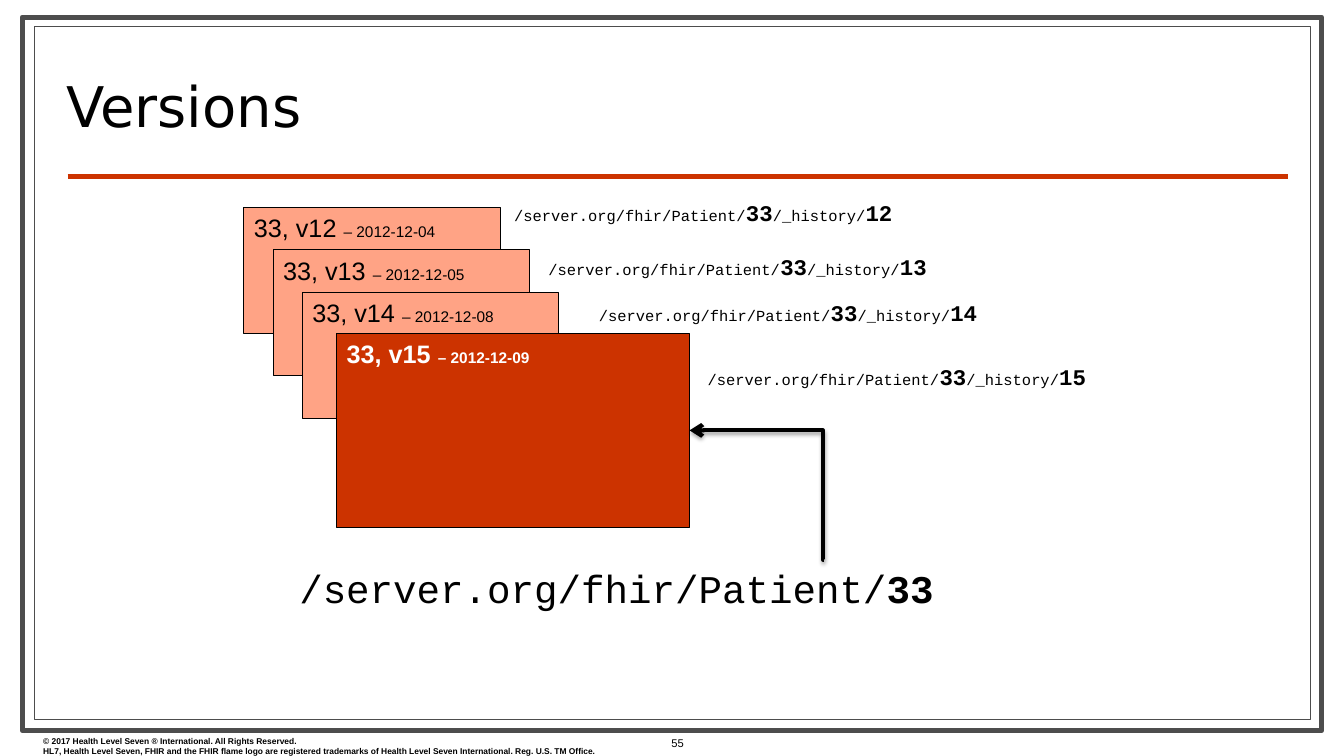
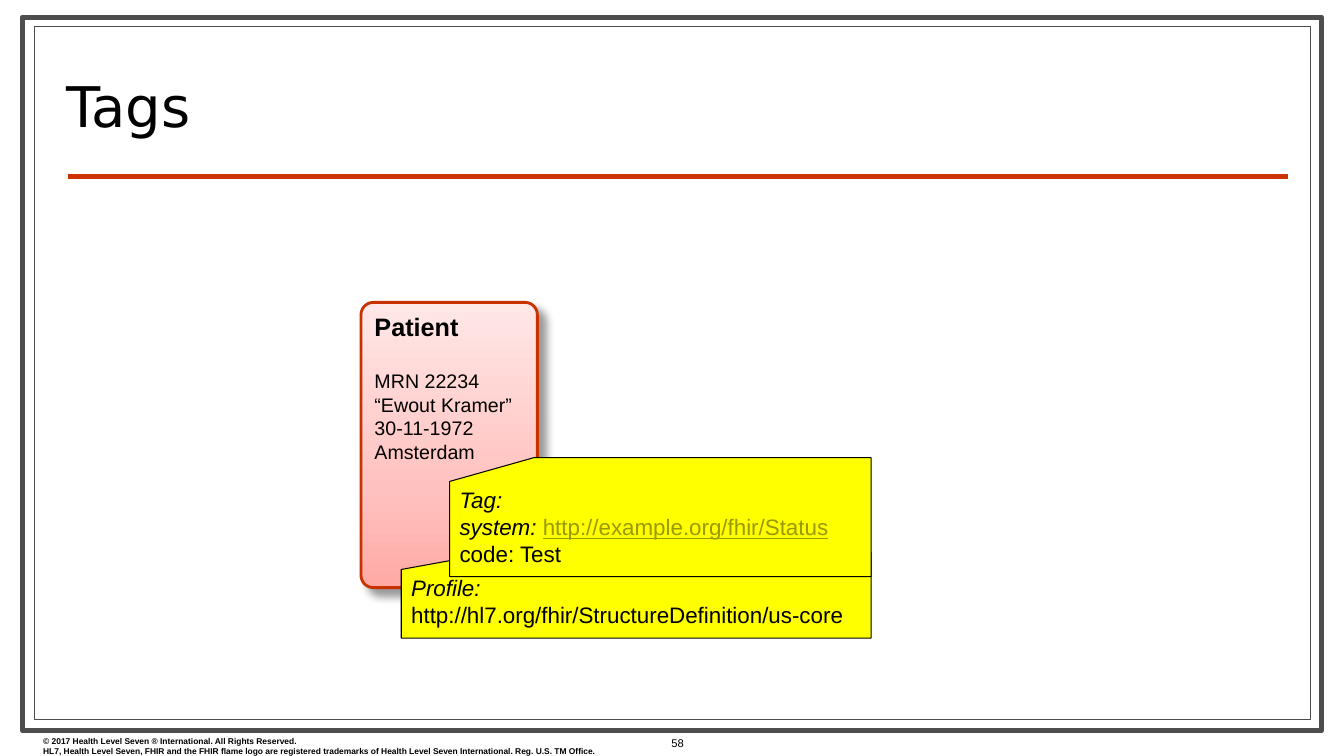
from copy import deepcopy

from lxml import etree
from pptx import Presentation
from pptx.dml.color import RGBColor
from pptx.enum.shapes import MSO_CONNECTOR, MSO_SHAPE
from pptx.enum.text import MSO_ANCHOR, MSO_AUTO_SIZE, PP_ALIGN
from pptx.oxml.ns import qn
from pptx.util import Emu, Pt

PX = 9144  # 100 px to the inch
SLIDE_SIZE = (1333, 750)
TITLE_ONLY = 5

BLACK = RGBColor(0x00, 0x00, 0x00)
WHITE = RGBColor(0xFF, 0xFF, 0xFF)
FRAME_GREY = RGBColor(0x4D, 0x4D, 0x4D)
RED = RGBColor(0xCC, 0x33, 0x00)
SALMON = RGBColor(0xFF, 0xA3, 0x85)
YELLOW = RGBColor(0xFF, 0xFF, 0x00)
LINK_OLIVE = RGBColor(0x99, 0x99, 0x00)
PATIENT_LINE = RGBColor(0xC8, 0x32, 0x00)
PATIENT_STOPS = [
    (0, RGBColor(0xFF, 0xE8, 0xE7)),
    (0.65, RGBColor(0xFF, 0xC2, 0xBF)),
    (1, RGBColor(0xFF, 0xA9, 0xA5)),
]

BODY_FONT, CODE_FONT, TITLE_FONT = "Arial", "Courier New", "DejaVu Sans"
RECT, ROUNDED = MSO_SHAPE.RECTANGLE, MSO_SHAPE.ROUNDED_RECTANGLE
CARD = MSO_SHAPE.FLOWCHART_CARD
STRAIGHT, ELBOW = MSO_CONNECTOR.STRAIGHT, MSO_CONNECTOR.ELBOW
TOP, MIDDLE, BOTTOM = MSO_ANCHOR.TOP, MSO_ANCHOR.MIDDLE, MSO_ANCHOR.BOTTOM
LEFT, CENTER = PP_ALIGN.LEFT, PP_ALIGN.CENTER

# Shared furniture: box and line width of each frame
FRAMES = [((22, 17, 1289, 708), 3.5), ((34, 26, 1266, 688), 0.75)]
TITLE_BOX = (56, 52, 1020, 90)
TITLE_RULE = ((67, 175), (1277, 175))
FOOTER_BOX = (33, 725, 644, 30)
NUMBER_BOX = (633, 725, 78, 25)
FOOTER = [
    "© 2017 Health Level Seven ® International. All Rights Reserved.",
    "HL7, Health Level Seven, FHIR and the FHIR flame logo are registered "
    "trademarks of Health Level Seven International. Reg. U.S. TM Office.",
]

# Versions slide
RESOURCE_URL, RESOURCE_ID = "/server.org/fhir/Patient/", "33"
RESOURCE_URL_BOX = (287, 555, 688, 57)
OLD_VERSIONS = [("12", "2012-12-04"), ("13", "2012-12-05"), ("14", "2012-12-08")]
CURRENT_VERSION = ("15", "2012-12-09")
FIRST_CARD, CARD_STEP = (242, 206, 254, 125), (29, 42)
CURRENT_CARD = (334, 331, 350, 192)
HISTORY_SIZE = (475, 37)
HISTORY_PLACES = {"12": (500, 193), "13": (534, 246), "14": (584, 292), "15": (692, 355)}
ARROW = ((817, 555), (684, 427))

# Tags slide
PATIENT_BOX = (358, 300, 175, 283)
PATIENT_DETAILS = ["MRN 22234", "“Ewout Kramer”", "30-11-1972", "Amsterdam"]
ITALIC = {"italic": True}
LABELS = [
    ((398, 548, 466, 85), [
        [("Profile:", ITALIC)],
        "http://hl7.org/fhir/StructureDefinition/us-core",
    ]),
    ((446, 454, 418, 118), [
        [("Tag:", ITALIC)],
        [("system: ", ITALIC),
         ("http://example.org/fhir/Status", {"color": LINK_OLIVE, "underline": True})],
        "code: Test",
    ]),
]


def px(*lengths):
    return [Emu(length * PX) for length in lengths]


def write(frame, paragraphs, *, size, font=BODY_FONT, color=BLACK, bold=False,
          align=LEFT, anchor=TOP, line_spacing=None):
    """Fill a text frame; a paragraph is a string or a list of (text, overrides)."""
    frame.word_wrap = True
    frame.auto_size = MSO_AUTO_SIZE.NONE
    frame.vertical_anchor = anchor
    for index, runs in enumerate(paragraphs):
        paragraph = frame.add_paragraph() if index else frame.paragraphs[0]
        paragraph.alignment = align
        paragraph.line_spacing = line_spacing
        for text, overrides in [(runs, {})] if isinstance(runs, str) else runs:
            run = paragraph.add_run()
            run.text = text
            look = {"size": size, "color": color, "bold": bold, **overrides}
            run.font.name = font
            run.font.size = Pt(look["size"])
            run.font.color.rgb = look["color"]
            run.font.bold = look["bold"]
            run.font.italic = look.get("italic", False)
            run.font.underline = look.get("underline", False)


def add_text(slide, box, paragraphs, **look):
    write(slide.shapes.add_textbox(*px(*box)).text_frame, paragraphs, **look)


def set_shadow(item, shadow=None):
    """Replace the theme shadow by none or by (alpha %, blur pt, distance pt, degrees)."""
    effects = etree.SubElement(item.element.spPr, qn("a:effectLst"))
    if shadow:
        alpha, blur, distance, degrees = shadow
        outer = etree.SubElement(
            effects, qn("a:outerShdw"), blurRad=str(Pt(blur)), dist=str(Pt(distance)),
            dir=str(degrees * 60000), algn="ctr", rotWithShape="0")
        black = etree.SubElement(outer, qn("a:srgbClr"), val=str(BLACK))
        etree.SubElement(black, qn("a:alpha"), val=str(alpha * 1000))


def add_box(slide, kind, box, *, fill=None, line=BLACK, width=0.75, shadow=None):
    """Add a preset shape; fill is None, a colour or a list of gradient stops."""
    shape = slide.shapes.add_shape(kind, *px(*box))
    if fill is None:
        shape.fill.background()
    elif isinstance(fill, list):
        shape.fill.gradient()
        shape.fill.gradient_angle = 270
        stops = shape.element.spPr.find(".//" + qn("a:gsLst"))
        for _ in fill[len(stops):]:
            stops.append(deepcopy(stops[-1]))
        for stop, (position, color) in zip(shape.fill.gradient_stops, fill):
            stop.position = position
            stop.color.rgb = color
    else:
        shape.fill.solid()
        shape.fill.fore_color.rgb = fill
    shape.line.color.rgb = line
    shape.line.width = Pt(width)
    set_shadow(shape, shadow)
    return shape


def add_line(slide, kind, ends, color, *, shadow=None):
    start, end = ends
    line = slide.shapes.add_connector(kind, *px(*start, *end))
    line.line.color.rgb = color
    line.line.width = Pt(3)
    set_shadow(line, shadow)
    return line


def add_framed_slide(deck, title, number):
    slide = deck.slides.add_slide(deck.slide_layouts[TITLE_ONLY])
    for box, width in FRAMES:
        add_box(slide, RECT, box, line=FRAME_GREY, width=width)
    add_line(slide, STRAIGHT, TITLE_RULE, RED)
    heading = slide.shapes.title
    heading.left, heading.top, heading.width, heading.height = px(*TITLE_BOX)
    write(heading.text_frame, [title], size=40, font=TITLE_FONT,
          anchor=BOTTOM, line_spacing=0.8)
    add_text(slide, FOOTER_BOX, FOOTER, size=6, bold=True)
    add_text(slide, NUMBER_BOX, [number], size=8, align=CENTER, anchor=MIDDLE)
    return slide


def add_version(slide, box, version, fill, **look):
    """Add a version's card and its history address."""
    number, date = version
    card = add_box(slide, RECT, box, fill=fill)
    write(card.text_frame, [[(f"{RESOURCE_ID}, v{number} ", {}), (f"– {date}", {"size": 11})]],
          size=18, **look)
    strong = {"size": 16, "bold": True}
    address = [(RESOURCE_URL, {}), (RESOURCE_ID, strong), ("/_history/", {}), (number, strong)]
    add_text(slide, HISTORY_PLACES[number] + HISTORY_SIZE, [address], size=11, font=CODE_FONT)


def build_versions(deck):
    slide = add_framed_slide(deck, "Versions", "55")
    left, top, width, height = FIRST_CARD
    step_x, step_y = CARD_STEP
    for i, version in enumerate(OLD_VERSIONS):
        box = (left + i * step_x, top + i * step_y, width, height)
        add_version(slide, box, version, SALMON)
    add_version(slide, CURRENT_CARD, CURRENT_VERSION, RED, color=WHITE, bold=True)
    add_text(slide, RESOURCE_URL_BOX, [[(RESOURCE_URL, {}), (RESOURCE_ID, {"bold": True})]],
             size=28, font=CODE_FONT)

    arrow = add_line(slide, ELBOW, ARROW, BLACK, shadow=(35, 3.1, 1.8, 90))
    properties = arrow.element.spPr
    etree.SubElement(properties.find(qn("a:ln")), qn("a:tailEnd"), type="arrow")
    bend = properties.find(qn("a:prstGeom")).find(qn("a:avLst"))
    etree.SubElement(bend, qn("a:gd"), name="adj1", fmla="val 800")


def build_tags(deck):
    slide = add_framed_slide(deck, "Tags", "58")
    patient = add_box(slide, ROUNDED, PATIENT_BOX, fill=PATIENT_STOPS,
                      line=PATIENT_LINE, width=2, shadow=(40, 6, 7, 45))
    patient.adjustments[0] = 0.07
    frame = patient.text_frame
    write(frame, [[("Patient", {"size": 18, "bold": True})], *PATIENT_DETAILS], size=14)
    frame.paragraphs[1].space_before = Pt(20)
    for box, lines in LABELS:
        label = add_box(slide, CARD, box, fill=YELLOW)
        write(label.text_frame, lines, size=16)


def main():
    deck = Presentation()
    deck.slide_width, deck.slide_height = px(*SLIDE_SIZE)
    build_versions(deck)
    build_tags(deck)
    deck.save("out.pptx")


if __name__ == "__main__":
    main()
